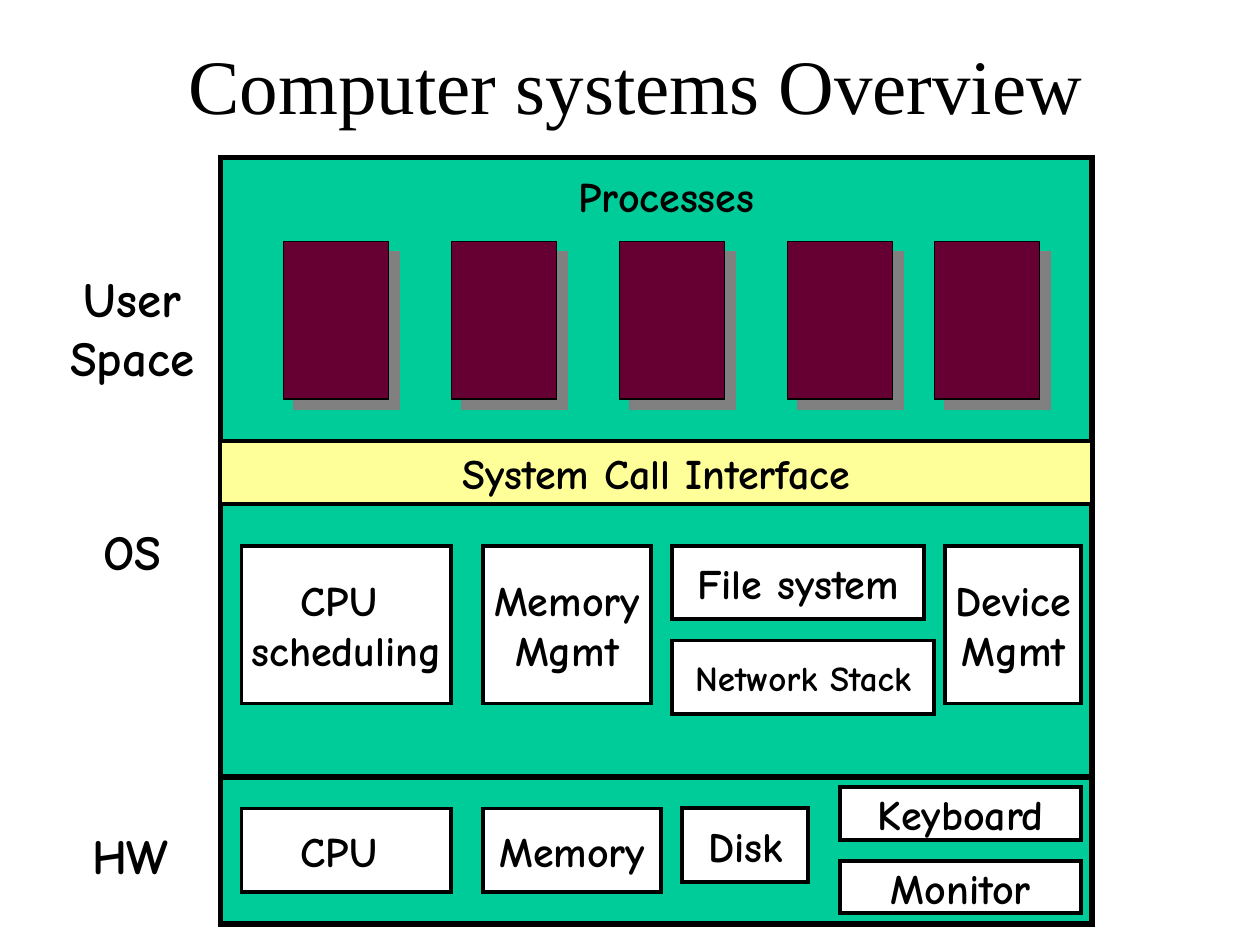
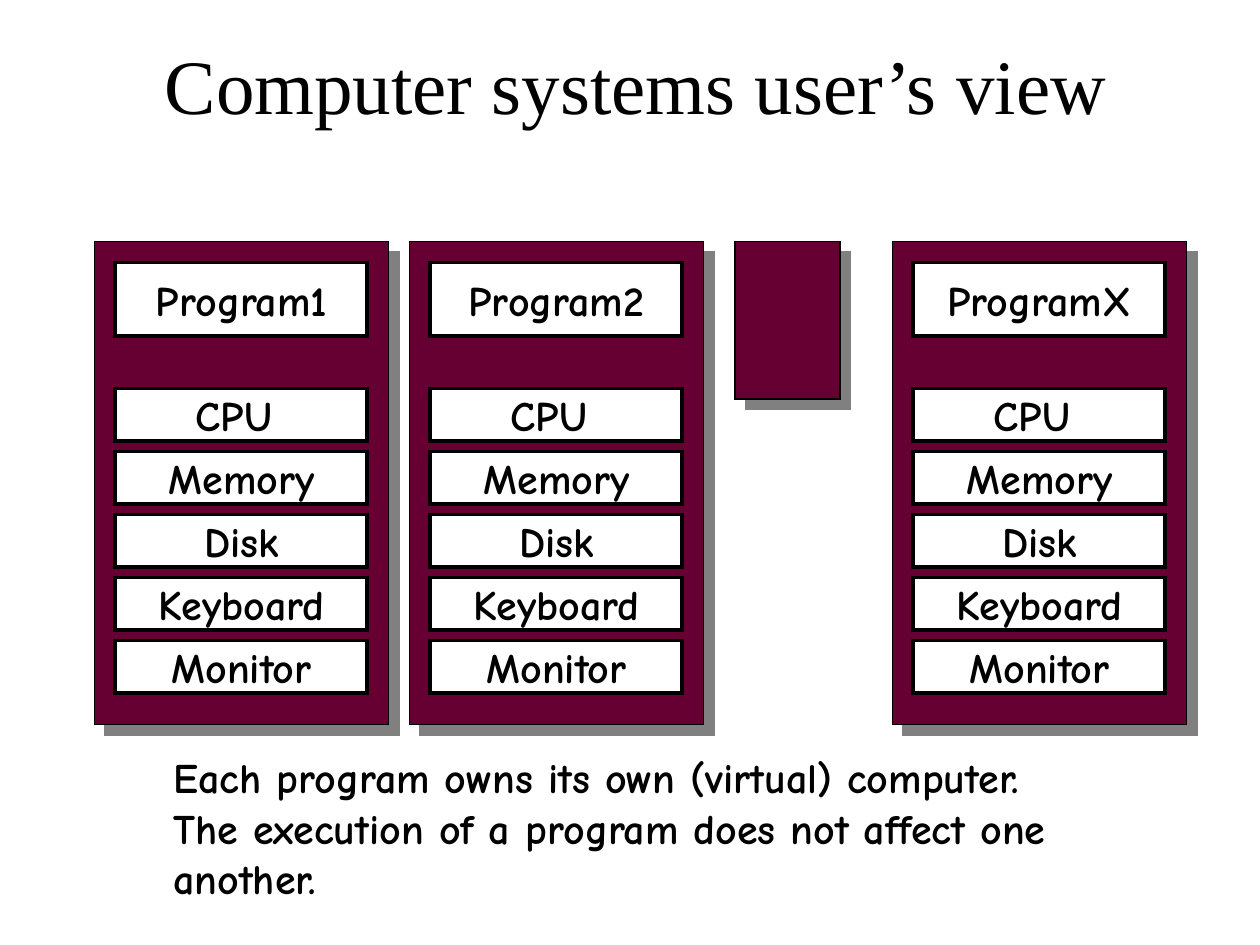
from dataclasses import dataclass

from lxml import etree
from pptx import Presentation
from pptx import util as u
from pptx.dml.color import RGBColor
from pptx.enum import shapes, text
from pptx.oxml import ns
from pptx.shapes.autoshape import Shape
from pptx.slide import Slide

Pt = u.Pt


# Theme shared by both slides
@dataclass(frozen=True)
class Theme:
    ink: str = "000000"
    paper: str = "FFFFFF"
    layer: str = "00CC99"
    interface: str = "FFFF99"
    process: str = "660033"
    shadow: str = "808080"
    title_font: str = "Times New Roman"
    body_font: str = "Comic Neue"
    title_size: float = 44
    label_size: float = 28
    body_size: float = 24
    small_size: float = 20
    thick_line: float = 3
    box_line: float = 2.25
    thin_line: float = 0.75
    shadow_distance: float = 8.5


THEME = Theme()


@dataclass(frozen=True)
class Area:
    left: float
    top: float
    width: float
    height: float

    def lengths(self) -> tuple[u.Length, ...]:
        return Pt(self.left), Pt(self.top), Pt(self.width), Pt(self.height)


@dataclass(frozen=True)
class Box:
    area: Area
    caption: str
    size: float = THEME.body_size
    fill: str = THEME.paper


@dataclass(frozen=True)
class Label:
    area: Area
    caption: str
    size: float = THEME.label_size
    centred: bool = False


PROCESS_TOP = 138
RESOURCES = ("CPU ", "Memory", "Disk", "Keyboard", "Monitor")


# Drawing functions
def write(shape: Shape, caption: str, size: float, font: str = THEME.body_font,
          bold: bool = True, centred: bool = True) -> None:
    frame = shape.text_frame
    frame.text = caption
    for paragraph in frame.paragraphs:
        paragraph.alignment = text.PP_ALIGN.CENTER if centred else text.PP_ALIGN.LEFT
        paragraph.font.name = font
        paragraph.font.size = Pt(size)
        paragraph.font.bold = bold
        paragraph.font.color.rgb = RGBColor.from_string(THEME.ink)


def draw_rectangle(slide: Slide, area: Area, fill: str, line: float) -> Shape:
    shape = slide.shapes.add_shape(shapes.MSO_SHAPE.RECTANGLE, *area.lengths())
    shape.shadow.inherit = False
    shape.fill.solid()
    shape.fill.fore_color.rgb = RGBColor.from_string(fill)
    shape.line.color.rgb = RGBColor.from_string(THEME.ink)
    shape.line.width = Pt(line)
    outline = shape._element.spPr.find(ns.qn("a:ln"))
    etree.SubElement(outline, ns.qn("a:miter"), lim="800000")
    return shape


def draw_process(slide: Slide, area: Area) -> None:
    shape = draw_rectangle(slide, area, THEME.process, THEME.thin_line)
    effects = shape._element.spPr.find(ns.qn("a:effectLst"))
    shadow = etree.SubElement(effects, ns.qn("a:outerShdw"), blurRad="0",
                              dist=str(Pt(THEME.shadow_distance)), dir="2700000",
                              algn="ctr", rotWithShape="0")
    etree.SubElement(shadow, ns.qn("a:srgbClr"), val=THEME.shadow)


def draw_box(slide: Slide, box: Box) -> None:
    shape = draw_rectangle(slide, box.area, box.fill, THEME.box_line)
    shape.text_frame.word_wrap = False
    shape.text_frame.vertical_anchor = text.MSO_ANCHOR.MIDDLE
    write(shape, box.caption, box.size)


def draw_label(slide: Slide, label: Label) -> None:
    shape = slide.shapes.add_textbox(*label.area.lengths())
    shape.text_frame.word_wrap = False
    shape.text_frame.auto_size = text.MSO_AUTO_SIZE.SHAPE_TO_FIT_TEXT
    write(shape, label.caption, label.size, centred=label.centred)


def draw_program(slide: Slide, left: float, name: str) -> None:
    draw_process(slide, Area(left, PROCESS_TOP, 168, 276))
    draw_box(slide, Box(Area(left + 12, 150, 144, 42), name))
    for row, resource in enumerate(RESOURCES):
        draw_box(slide, Box(Area(left + 12, 222 + 36 * row, 144, 30), resource))


def add_titled_slide(presentation: Presentation, title: str) -> Slide:
    slide = presentation.slides.add_slide(presentation.slide_layouts[6])
    shape = slide.shapes.add_textbox(*Area(66, 12, 606, 72).lengths())
    shape.text_frame.word_wrap = True
    shape.text_frame.vertical_anchor = text.MSO_ANCHOR.MIDDLE
    write(shape, title, THEME.title_size, THEME.title_font, bold=False)
    return slide


# Slide 1: layers of the system
def build_overview(presentation: Presentation) -> None:
    slide = add_titled_slide(presentation, "Computer systems Overview ")

    software, hardware = Area(126, 90, 498, 354), Area(126, 444, 498, 84)
    for layer in (software, hardware):
        draw_rectangle(slide, layer, THEME.layer, THEME.thick_line)
    for left in (162, 258, 354, 450, 534):
        draw_process(slide, Area(left, PROCESS_TOP, 60, 90))

    boxes = (
        Box(Area(126, 252, 498, 36), "System Call Interface", fill=THEME.interface),
        # Operating system
        Box(Area(138, 312, 120, 90), "CPU \nscheduling"),
        Box(Area(276, 312, 96, 90), "Memory\nMgmt"),
        Box(Area(384, 312, 144, 42), "File system"),
        Box(Area(384, 366, 150, 42), "Network Stack", THEME.small_size),
        Box(Area(540, 312, 78, 90), "Device\nMgmt"),
        # Hardware
        Box(Area(138, 462, 120, 48), "CPU "),
        Box(Area(276, 462, 102, 48), "Memory"),
        Box(Area(390, 462, 72, 42), "Disk"),
        Box(Area(480, 450, 138, 30), "Keyboard"),
        Box(Area(480, 492, 138, 30), "Monitor"),
    )
    for box in boxes:
        draw_box(slide, box)

    labels = (
        Label(Area(32, 150, 87, 75), "User\nSpace", centred=True),
        Label(Area(52, 294.5, 48.5, 41), "OS"),
        Label(Area(45.5, 468, 59, 41), "HW"),
        Label(Area(323.5, 94, 116, 36), "Processes", THEME.body_size),
    )
    for label in labels:
        draw_label(slide, label)


# Slide 2: one virtual computer per program
def build_user_view(presentation: Presentation) -> None:
    slide = add_titled_slide(presentation, "Computer systems user’s view ")
    for left, name in ((54, "Program1"), (234, "Program2"), (510, "ProgramX")):
        draw_program(slide, left, name)
    draw_process(slide, Area(420, PROCESS_TOP, 60, 90))
    draw_label(slide, Label(
        Area(92, 426, 524, 93.5),
        "Each program owns its own (virtual) computer.\n"
        "The execution of a program does not affect one\n"
        "another.",
        THEME.body_size))


def main() -> None:
    presentation = Presentation()
    presentation.slide_width, presentation.slide_height = Pt(720), Pt(540)
    build_overview(presentation)
    build_user_view(presentation)
    presentation.save("out.pptx")


if __name__ == "__main__":
    main()
